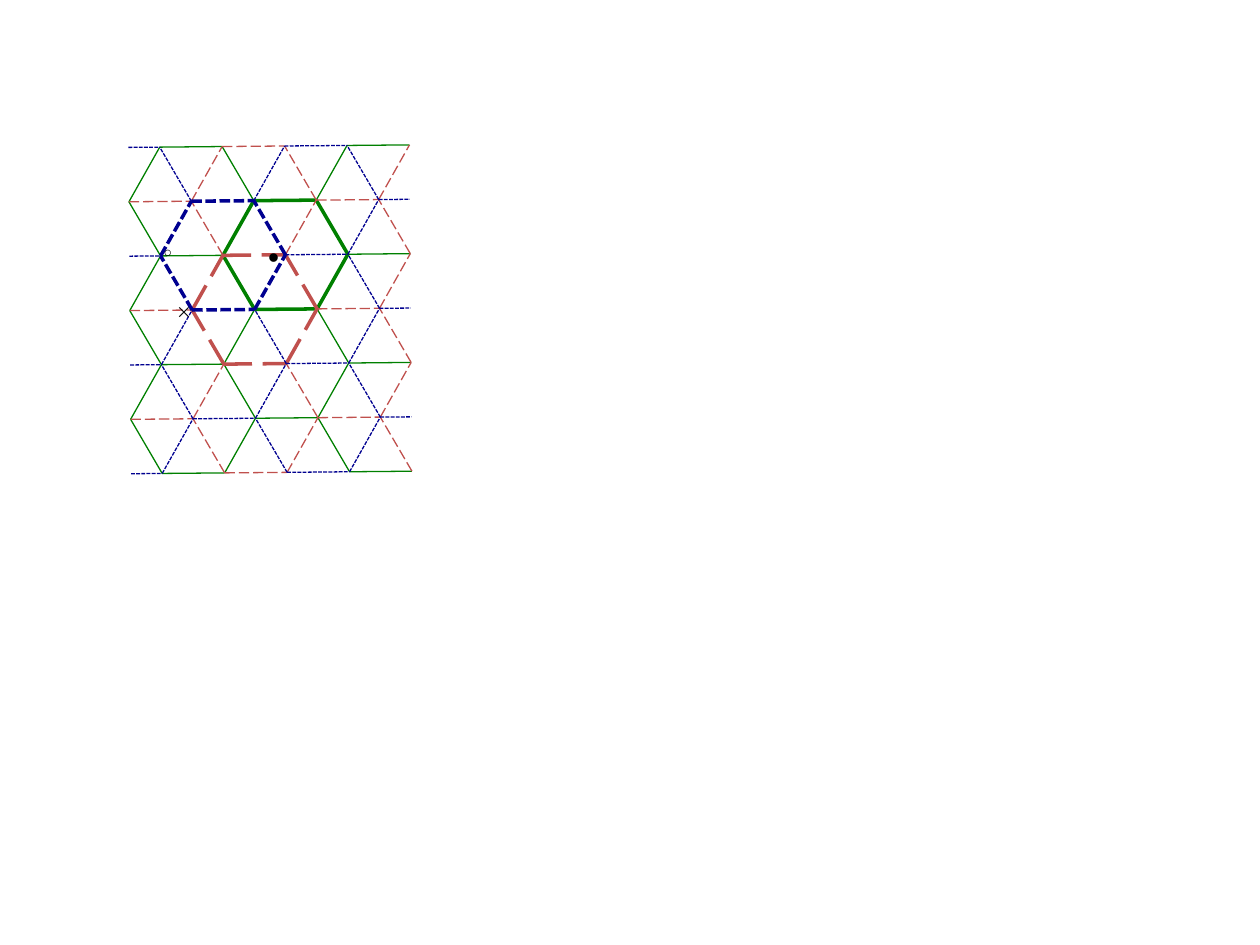
"""Triangular lattice split into three interlocking honeycombs."""
from pptx import Presentation
from pptx.dml.color import RGBColor
from pptx.enum.dml import MSO_LINE
from pptx.enum.text import MSO_AUTO_SIZE as AutoSize
from pptx.oxml import parse_xml
from pptx.oxml.ns import nsdecls
from pptx.util import Inches, Pt

COLORS = {"green": "008000", "red": "C0504D", "blue": "000090", "black": "000000"}
DASHES = {"green": None, "red": MSO_LINE.LONG_DASH, "blue": MSO_LINE.SQUARE_DOT}
DASHES["blue"] = MSO_LINE.ROUND_DOT if DASHES["blue"] is None else DASHES["blue"]
SYSTEM_DASH = {"blue": "sysDash"}
HONEYCOMB_CYCLE = ("red", "green", "blue", "red", "green", "blue")
HONEYCOMB_CYCLE = {0: "red", 1: "green", 2: "blue", 3: "red", 4: "green", 5: "blue"}
BOLD_CENTERS = [(2, 5), (3, 4), (2, 3)]
MARKS = [
    ("•", 18, "Arial", (2.03, 1.83, 0.32, 0.40)),
    ("×", 9, "Noto Sans CJK JP", (1.30, 2.35, 0.33, 0.25)),
    ("○", 8, "Arial", (1.20, 1.88, 0.30, 0.24)),
]
LAST_ROW, LAST_COLUMN = 6, 9
LEFT, TOP = 1.02, 1.17
WIDTH, HEIGHT = 2.23, 2.59
DRIFT, TILT = 0.02, 0.02
THIN, BOLD = 0.75, 2


def place(row, column):
    down, across = row / LAST_ROW, column / LAST_COLUMN
    return (Inches(LEFT + WIDTH * across + DRIFT * down),
            Inches(TOP + HEIGHT * down - TILT * across))


def is_bold(*ends):
    return any(
        all((abs(row - r), abs(column - c)) in ((0, 2), (1, 1)) for row, column in ends)
        for r, c in BOLD_CENTERS)


def lattice_edges():
    for row in range(LAST_ROW + 1):
        for column in range(row % 2 - 1 if row % 2 == 0 else 0, LAST_COLUMN + 1, 2):
            here = (row, column)
            hue = HONEYCOMB_CYCLE[column % 6]
            if column < LAST_COLUMN:
                yield hue, here, (row, column + 2)
            if row < LAST_ROW and column > 0:
                yield hue, (row + 1, column - 1), here
            if row < LAST_ROW and 0 <= column < LAST_COLUMN:
                yield HONEYCOMB_CYCLE[(column - 2) % 6], (row + 1, column + 1), here


def draw_edge(shapes, hue, start, end):
    clamped = [(row, min(max(column, 0), LAST_COLUMN)) for row, column in (start, end)]
    edge = shapes.add_connector(1, *place(*clamped[0]), *place(*clamped[1]))
    edge.line.color.rgb = RGBColor.from_string(COLORS[hue])
    line_format = {"width": Pt(BOLD if is_bold(start, end) else THIN),
                   "dash_style": DASHES[hue]}
    for name, value in line_format.items():
        setattr(edge.line, name, value)
    if hue in SYSTEM_DASH:
        edge.line._ln.prstDash.set("val", SYSTEM_DASH[hue])
    edge._element.spPr.append(parse_xml(f"<a:effectLst {nsdecls('a')}/>"))


def draw_mark(shapes, symbol, size, font, box):
    frame = shapes.add_textbox(*map(Inches, box)).text_frame
    frame.word_wrap = False
    frame.auto_size = AutoSize.SHAPE_TO_FIT_TEXT
    run = frame.paragraphs[0].add_run()
    run.text = symbol
    for name, value in {"size": Pt(size), "name": font}.items():
        setattr(run.font, name, value)
    run.font.color.rgb = RGBColor.from_string(COLORS["black"])
    if font != "Arial":
        run.font._element.append(parse_xml(f'<a:ea {nsdecls("a")} typeface="{font}"/>'))


deck = Presentation()
deck.slide_width, deck.slide_height = Inches(10), Inches(7.5)
shapes = deck.slides.add_slide(deck.slide_layouts[6]).shapes
hue_order = list(DASHES)
for edge in sorted(lattice_edges(), key=lambda item: hue_order.index(item[0])):
    draw_edge(shapes, *edge)
for mark in MARKS:
    draw_mark(shapes, *mark)
deck.save("out.pptx")
